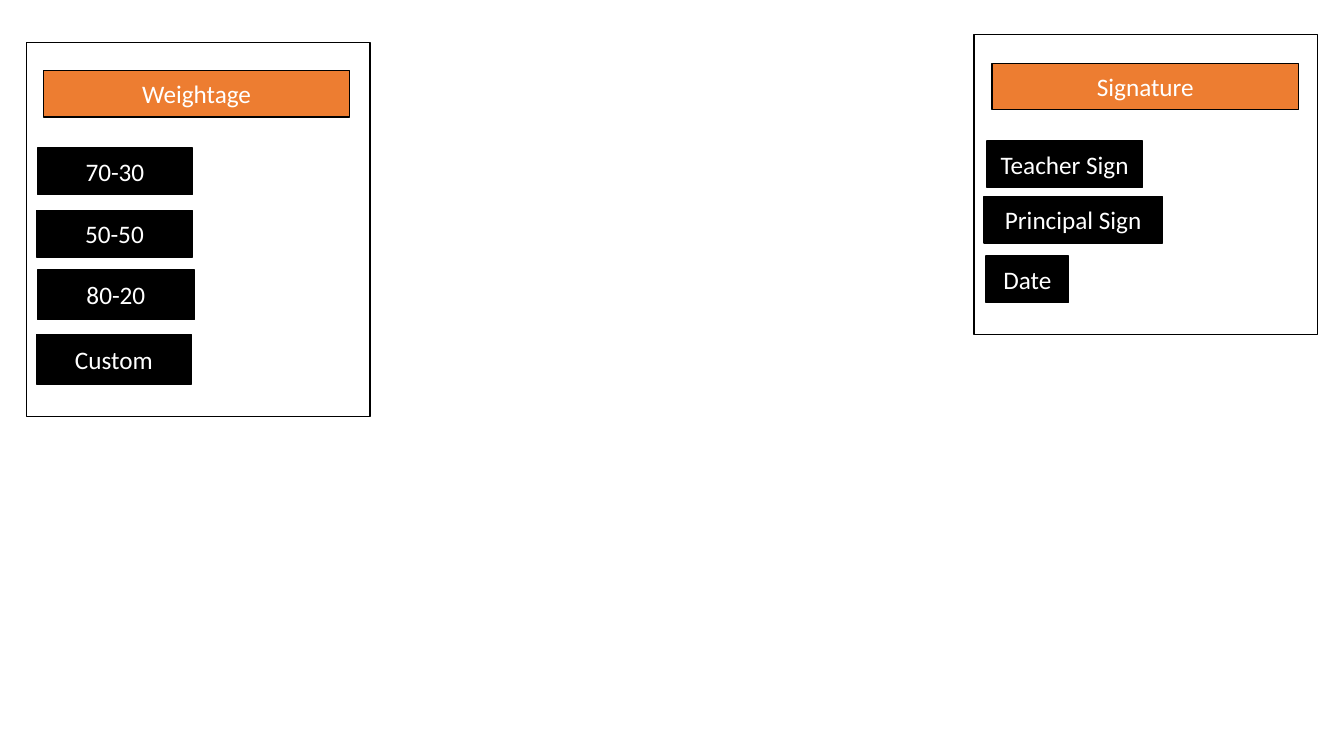
import pptx
import pptx.dml.color
import pptx.enum.shapes
import pptx.enum.text
import pptx.util

# The page is a fine grid of square cells
COLUMNS, ROWS = 1333, 750
HEADER_SIZE = (304, 46)
BLACK, WHITE, ORANGE = "000000", "FFFFFF", "ED7D31"

# Each panel: box, header and buttons; parts are placed from the box's corner
PANELS = [
    {
        "box": (26, 42, 341, 371),
        "header": ("Weightage", 17, 28),
        "buttons": [
            ("70-30", 11, 105, 154, 46),
            ("50-50", 10, 167, 155, 46),
            ("80-20", 11, 226, 156, 49),
            ("Custom", 10, 290, 154, 49),
        ],
    },
    {
        "box": (966, 34, 341, 298),
        "header": ("Signature", 18, 29),
        "buttons": [
            ("Teacher Sign", 13, 106, 154, 46),
            ("Principal Sign", 10, 161, 177, 46),
            ("Date", 12, 220, 82, 46),
        ],
    },
]

deck = pptx.Presentation()
deck.slide_width = pptx.util.Inches(13.33)
deck.slide_height = pptx.util.Inches(7.5)


def color(code):
    return pptx.dml.color.RGBColor.from_string(code)


def add_box(page, left, top, width, height, fill=None, text=None):
    """Outlined rectangle in grid cells, with optional fill and label."""
    column, row = deck.slide_width / COLUMNS, deck.slide_height / ROWS
    box = page.shapes.add_shape(
        pptx.enum.shapes.MSO_SHAPE.RECTANGLE,
        round(left * column), round(top * row),
        round(width * column), round(height * row))
    box.shadow.inherit = False
    box.line.color.rgb = color(BLACK)
    box.line.width = pptx.util.Pt(1)
    if fill:
        box.fill.solid()
        box.fill.fore_color.rgb = color(fill)
    else:
        box.fill.background()
    if text:
        box.text_frame.word_wrap = True
        box.text_frame.vertical_anchor = pptx.enum.text.MSO_ANCHOR.MIDDLE
        para = box.text_frame.paragraphs[0]
        para.alignment = pptx.enum.text.PP_ALIGN.CENTER
        span = para.add_run()
        span.text = text
        for name, value in {"name": "Calibri", "size": pptx.util.Pt(18)}.items():
            setattr(span.font, name, value)
        span.font.color.rgb = color(WHITE)


def add_panel(page, box, header, buttons):
    """Frame with an orange header above a column of black buttons."""
    left, top = box[:2]
    add_box(page, *box)
    title, across, down = header
    add_box(page, left + across, top + down, *HEADER_SIZE, ORANGE, title)
    for label, across, down, width, height in buttons:
        add_box(page, left + across, top + down, width, height, BLACK, label)


def main():
    page = deck.slides.add_slide(deck.slide_layouts[6])
    for panel in PANELS:
        add_panel(page, **panel)
    deck.save("out.pptx")


if __name__ == "__main__":
    main()
